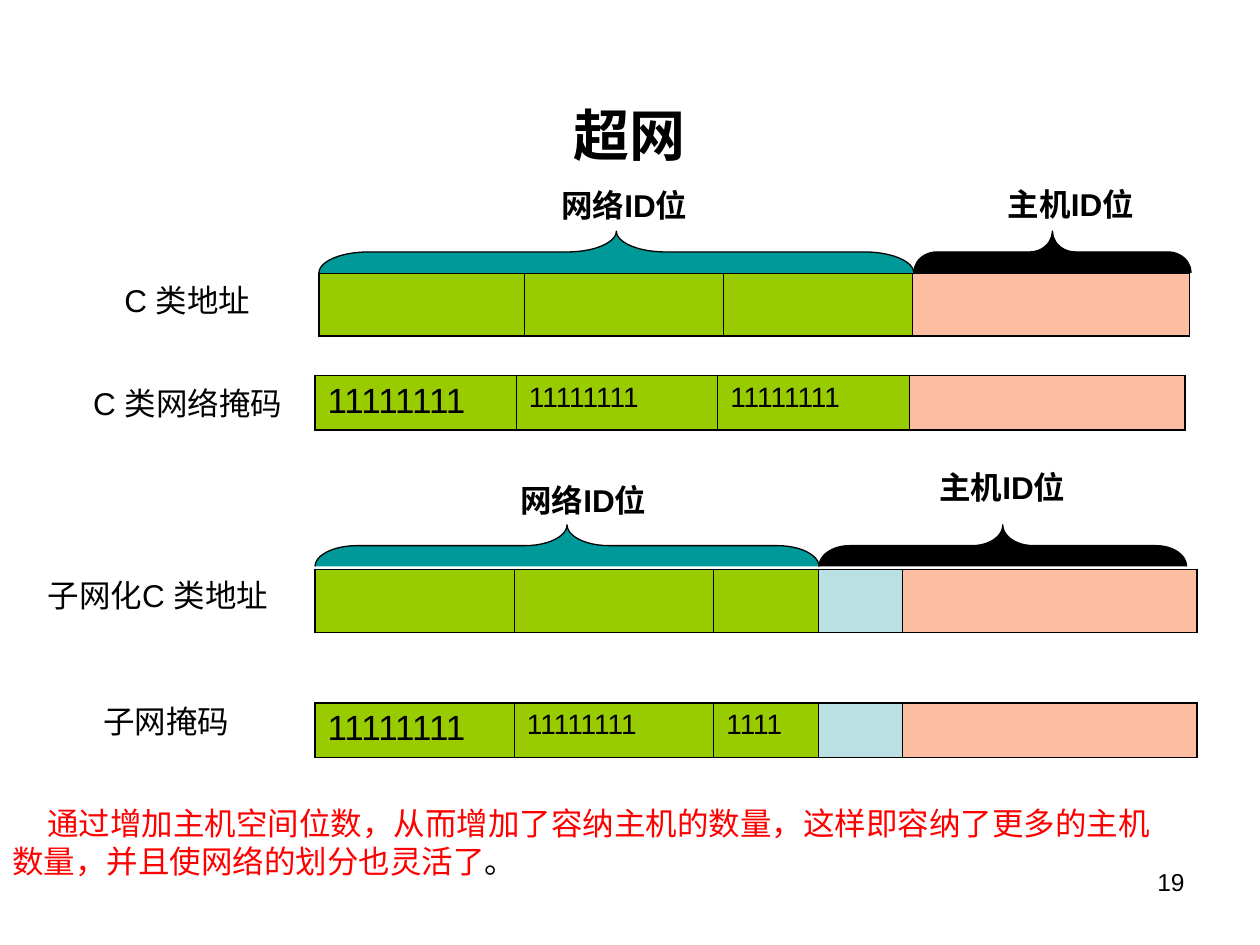
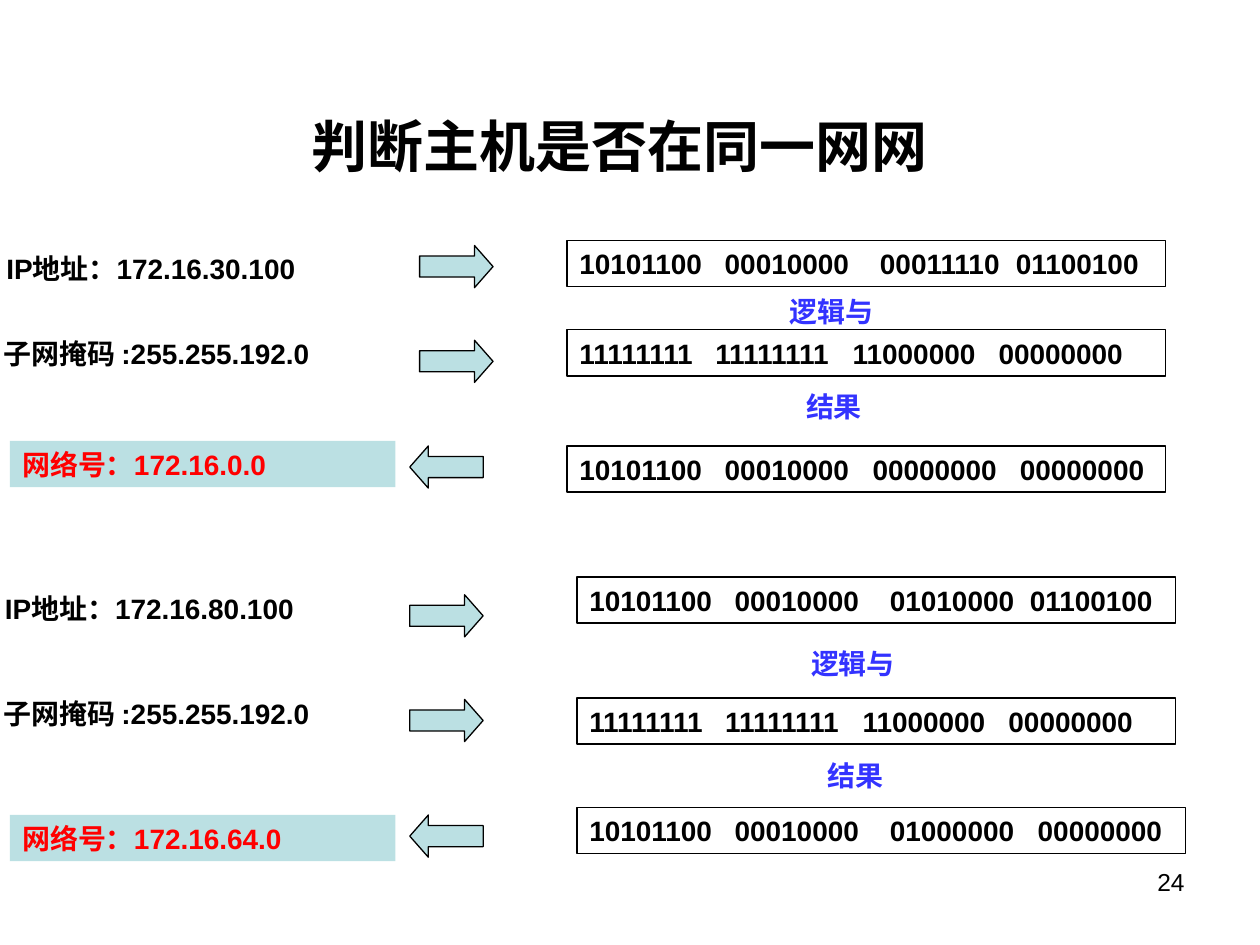
from lxml import etree
from pptx import Presentation
from pptx.dml.color import RGBColor
from pptx.enum.shapes import MSO_SHAPE
from pptx.enum.text import MSO_ANCHOR, PP_ALIGN
from pptx.oxml.ns import qn
from pptx.util import Cm, Pt

LEFT, CENTER, RIGHT = PP_ALIGN.LEFT, PP_ALIGN.CENTER, PP_ALIGN.RIGHT
TOP = MSO_ANCHOR.TOP
RECTANGLE, ARROW, BRACE = MSO_SHAPE.RECTANGLE, MSO_SHAPE.RIGHT_ARROW, MSO_SHAPE.LEFT_BRACE

FONT = "Arial"
BLACK, RED, BLUE, TEAL = "000000", "FF0000", "3333FF", "009999"
GREEN, AQUA, PEACH = "99CC00", "BBE0E3", "FDBDA1"
THIN, THICK, OUTLINE = 0.45, 1.08, 0.75

C_COLOURS = [GREEN] * 3 + [PEACH]
SUBNET_COLOURS = [GREEN] * 3 + [AQUA, PEACH]
SUBNET_COLUMNS = [4.02, 4.02, 2.11, 1.7, 5.93]
OCTET = "11111111"

ADDRESS_BARS = [
    (6.43, 5.51, 1.27, [4.14, 4.01, 3.81, 5.59], C_COLOURS, []),
    (6.35, 7.57, 1.09, [4.06, 4.06, 3.86, 5.56], C_COLOURS, [OCTET] * 3),
    (6.35, 11.48, 1.27, SUBNET_COLUMNS, SUBNET_COLOURS, []),
    (6.35, 14.17, 1.09, SUBNET_COLUMNS, SUBNET_COLOURS, [OCTET, OCTET, "1111"]),
]
BRACE_PAIRS = [(6.43, 4.66, 11.99, 5.59), (6.35, 10.58, 10.16, 7.41)]
BRACE_HEIGHT = 0.84

PART_LABELS = [
    ("网络ID位", 11.07, 3.63),
    ("主机ID位", 20.07, 3.61),
    ("网络ID位", 10.24, 9.58),
    ("主机ID位", 18.69, 9.32),
]
BAR_LABELS = [
    ("C 类地址", 2.26, 5.54, 3.2),
    ("C 类网络掩码", 1.63, 7.62, 4.47),
    ("子网化C 类地址", 0.71, 11.48, 5.26),
    ("子网掩码", 1.83, 14.02, 3.05),
]
CONCLUSION = [
    ("通过增加主机空间位数，从而增加了容纳主机的数量，这样即容纳了更多的主机数量，并且使网络的划分也灵活了", RED),
    ("。", BLACK),
]

MASK = "子网掩码 :255.255.192.0"
MASK_BITS = "11111111 11111111 11000000 00000000"
MASK_STOPS = [2.74, 5.51, 8.45]
HOSTS = [
    {
        "address": ("IP地址：172.16.30.100", 0.08, 4.95),
        "mask_y": 6.65,
        "network": ("网络号：172.16.0.0", 8.89),
        "arrows": [(8.46, 4.95, 0), (8.46, 6.86, 0), (8.26, 8.99, 180)],
        "bits_x": 11.43,
        "bits": [
            ("10101100 00010000 00011110 01100100", 4.85, 12.07, [2.93, 6.06, 8.8]),
            (MASK_BITS, 6.65, 12.07, MASK_STOPS),
            ("10101100 00010000 00000000 00000000", 8.99, 12.07, [2.93, 5.91, 8.88]),
        ],
        "steps": [("逻辑与", 15.67, 5.82), ("结果", 16.0, 7.72)],
    },
    {
        "address": ("IP地址：172.16.80.100", 0.05, 11.81),
        "mask_y": 13.92,
        "network": ("网络号：172.16.64.0", 16.43),
        "arrows": [(8.26, 11.99, 0), (8.26, 14.1, 0), (8.26, 16.43, 180)],
        "bits_x": 11.63,
        "bits": [
            ("10101100 00010000 01010000 01100100", 11.63, 12.07, [2.93, 6.06, 8.88]),
            (MASK_BITS, 14.07, 12.07, MASK_STOPS),
            ("10101100 00010000 01000000 00000000", 16.28, 12.27, [2.93, 6.06, 9.04]),
        ],
        "steps": [("逻辑与", 16.1, 12.9), ("结果", 16.43, 15.16)],
    },
]


def rgb(colour):
    return RGBColor.from_string(colour)


def style(paragraph, size, colour=BLACK, bold=False, align=LEFT):
    paragraph.alignment = align
    font = paragraph.font
    font.name, font.size, font.bold = FONT, Pt(size), bold
    font.color.rgb = rgb(colour)


def add_text(slide, text, x, y, width, height, size, wrap=True, **look):
    frame = slide.shapes.add_textbox(Cm(x), Cm(y), Cm(width), Cm(height)).text_frame
    frame.word_wrap = wrap
    paragraph = frame.paragraphs[0]
    paragraph.text = text
    style(paragraph, size, **look)
    return paragraph


def add_figure(slide, kind, x, y, width, height, fill=None, line=BLACK):
    figure = slide.shapes.add_shape(kind, Cm(x), Cm(y), Cm(width), Cm(height))
    figure.shadow.inherit = False
    if fill:
        figure.fill.solid()
        figure.fill.fore_color.rgb = rgb(fill)
    else:
        figure.fill.background()
    if line:
        figure.line.color.rgb = rgb(line)
        figure.line.width = Pt(OUTLINE)
    else:
        figure.line.fill.background()
    return figure


def add_box(slide, text, x, y, width, colour=BLACK, **paint):
    frame = add_figure(slide, RECTANGLE, x, y, width, 0.93, **paint).text_frame
    frame.word_wrap = True
    frame.vertical_anchor = TOP
    paragraph = frame.paragraphs[0]
    paragraph.text = text
    style(paragraph, 16, colour, True)
    return paragraph


def set_tab_stops(paragraph, stops):
    properties = paragraph._p.get_or_add_pPr()
    tabs = etree.Element(qn("a:tabLst"))
    for stop in stops:
        etree.SubElement(tabs, qn("a:tab"), pos=str(Cm(stop)), algn="l")
    properties.insert(0, tabs)


def set_borders(cell, first, last):
    properties = cell._tc.get_or_add_tcPr()
    widths = {"L": THICK if first else THIN, "R": THICK if last else THIN, "T": THICK, "B": THICK}
    for index, (side, width) in enumerate(widths.items()):
        border = etree.Element(qn(f"a:ln{side}"), w=str(Pt(width)))
        fill = etree.SubElement(border, qn("a:solidFill"))
        etree.SubElement(fill, qn("a:srgbClr"), val=BLACK)
        properties.insert(index, border)


def add_bar(slide, x, y, height, columns, colours, bits):
    table = slide.shapes.add_table(
        1, len(columns), Cm(x), Cm(y), Cm(sum(columns)), Cm(height)
    ).table
    table.first_row = table.horz_banding = False
    table.rows[0].height = Cm(height)
    for index, (width, colour) in enumerate(zip(columns, colours)):
        table.columns[index].width = Cm(width)
        cell = table.cell(0, index)
        cell.fill.solid()
        cell.fill.fore_color.rgb = rgb(colour)
        set_borders(cell, index == 0, index == len(columns) - 1)
        if index < len(bits):
            paragraph = cell.text_frame.paragraphs[0]
            paragraph.text = bits[index]
            style(paragraph, 16 if index else 20)


def add_brace(slide, x, y, length, colour):
    offset = (length - BRACE_HEIGHT) / 2
    brace = add_figure(slide, BRACE, x + offset, y - offset, BRACE_HEIGHT, length, colour)
    brace.rotation = 90
    brace.adjustments[0] = length / 12 / BRACE_HEIGHT
    brace.adjustments[1] = 0.5


def add_slide(deck, title, x, y, height, number):
    slide = deck.slides.add_slide(deck.slide_layouts[6])
    add_text(slide, title, x, y, 22.86, height, 32, bold=True, align=CENTER)
    add_text(slide, number, 18.2, 17.35, 5.93, 1.32, 14, align=RIGHT)
    return slide


def build_supernet(deck):
    slide = add_slide(deck, "超网", 1.27, 1.9, 1.35, "19")
    for bar in ADDRESS_BARS:
        add_bar(slide, *bar)
    for x, y, network, host in BRACE_PAIRS:
        add_brace(slide, x, y, network, TEAL)
        add_brace(slide, x + network, y, host, BLACK)
    for text, x, y in PART_LABELS:
        add_text(slide, text, x, y, 3.35, 1.02, 18, wrap=False, bold=True)
    for text, x, y, width in BAR_LABELS:
        add_text(slide, text, x, y, width, 1.02, 18, wrap=False)
    paragraph = add_text(slide, "", 0, 16.08, 23.93, 1.78, 18)
    paragraph._p.get_or_add_pPr().set("indent", str(Cm(0.7)))
    for text, colour in CONCLUSION:
        run = paragraph.add_run()
        run.text = text
        run.font.name, run.font.size = FONT, Pt(18)
        run.font.color.rgb = rgb(colour)


def build_same_network(deck):
    slide = add_slide(deck, "判断主机是否在同一网网", 1.06, 2.13, 1.7, "24")
    for host in HOSTS:
        address, x, y = host["address"]
        add_text(slide, address, x - 0.2, y, 6.6, 0.93, 16, wrap=False, bold=True)
        add_text(slide, MASK, -0.18, host["mask_y"], 8.43, 0.93, 16, bold=True)
        network, y = host["network"]
        add_box(slide, network, 0.2, y, 7.77, RED, fill=AQUA, line=None)
        for x, y, rotation in host["arrows"]:
            arrow = add_figure(slide, ARROW, x, y, 1.48, 0.85, AQUA)
            arrow.adjustments[1] = 0.44
            arrow.rotation = rotation
        for bits, y, width, stops in host["bits"]:
            row = add_box(slide, "\t".join(bits.split()), host["bits_x"], y, width)
            set_tab_stops(row, stops)
        for step, x, y in host["steps"]:
            add_text(slide, step, x, y, 2.3, 0.93, 16, colour=BLUE, bold=True)


def main():
    deck = Presentation()
    deck.slide_width, deck.slide_height = Cm(25.4), Cm(19.05)
    build_supernet(deck)
    build_same_network(deck)
    deck.save("out.pptx")


if __name__ == "__main__":
    main()
